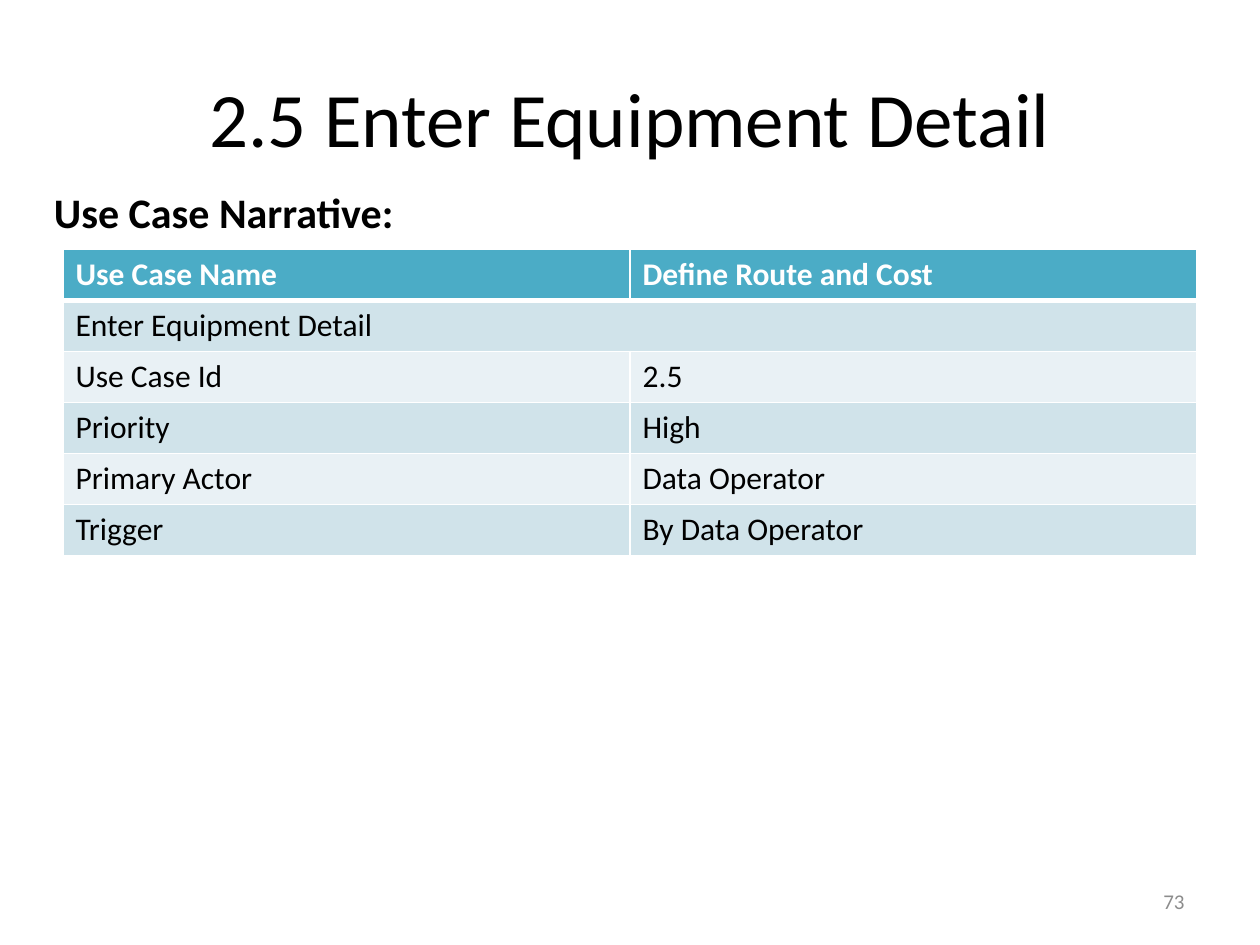
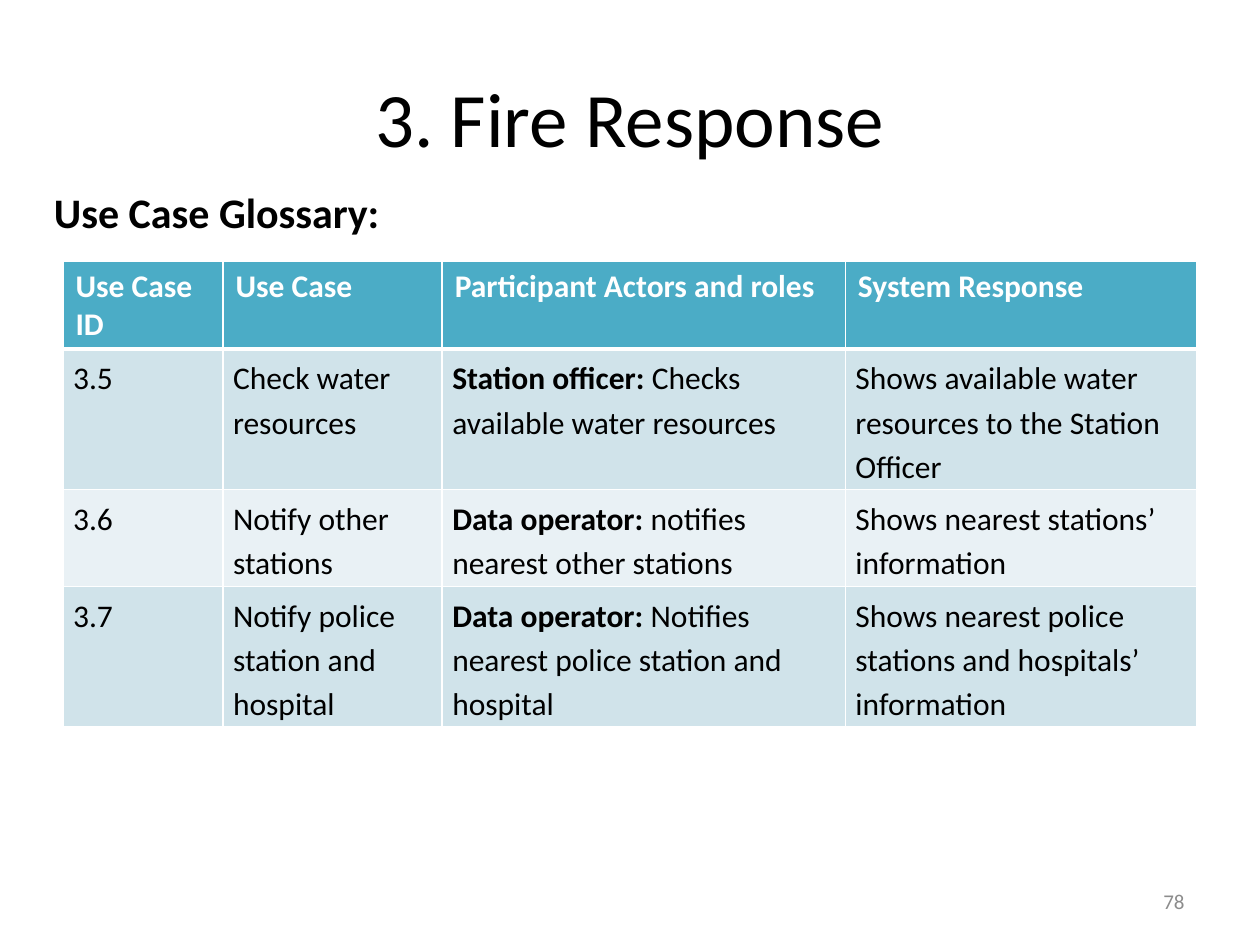
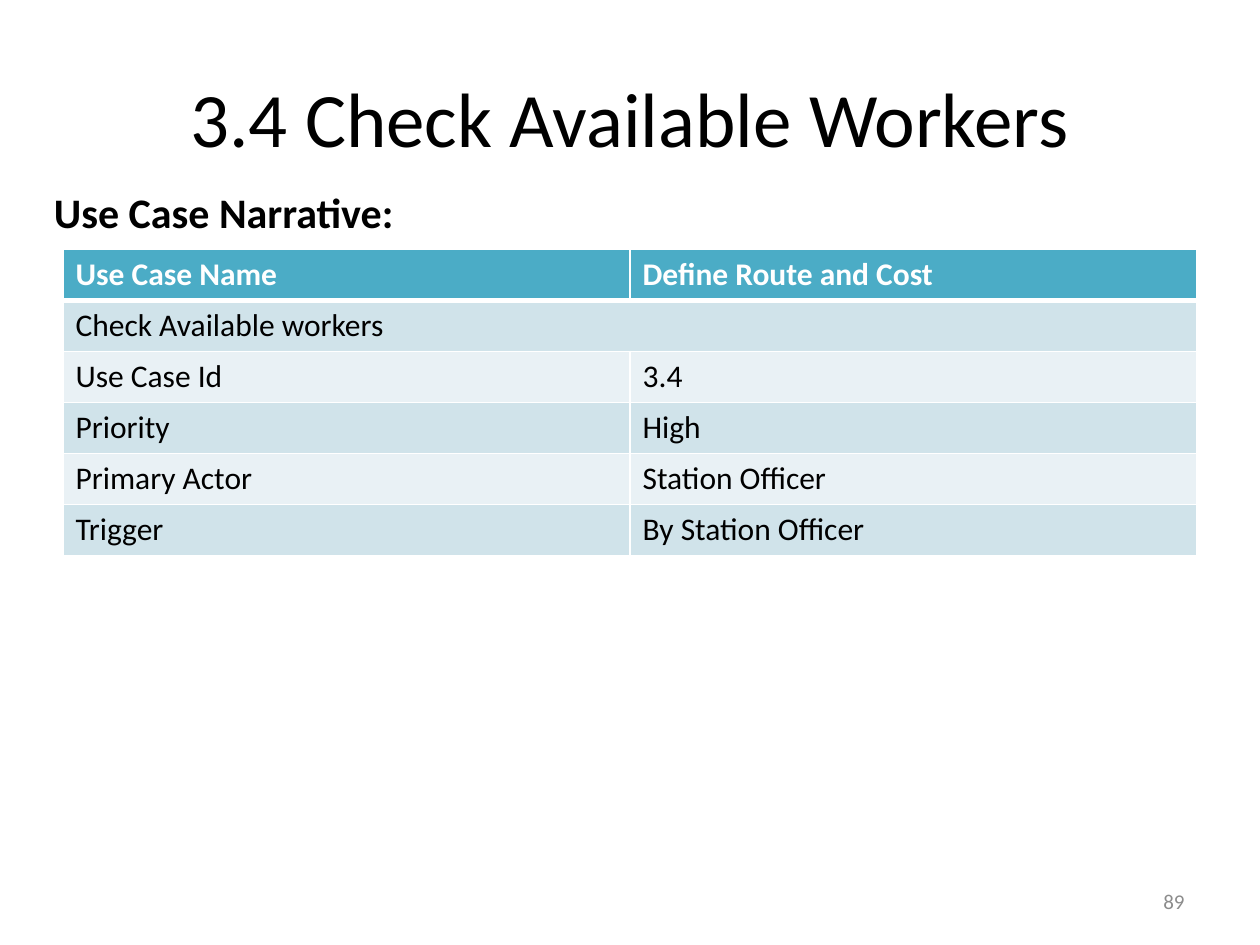
from lxml.etree import SubElement
from pptx import Presentation
from pptx.dml.color import RGBColor
from pptx.enum.text import MSO_ANCHOR, MSO_AUTO_SIZE, PP_ALIGN
from pptx.oxml.ns import qn
from pptx.util import Inches, Pt

FONT = "Calibri"
BLACK, WHITE, GREY = "000000", "FFFFFF", "8C8C8C"
HEADER, BANDS = "4BACC6", ("D0E3EA", "E9F1F5")
MARGIN, CONTENT_W, ROW_H = 0.5, 9, 0.405
TITLE = dict(size=Pt(44), bold=False)
HEADING = dict(size=Pt(24), bold=True)
NUMBER = dict(size=Pt(12), bold=False)
HEAD_CELL = dict(size=Pt(18), bold=True)
BODY_CELL = dict(size=Pt(18), bold=False)
TIGHT = dict(margin_left=Inches(0.08), margin_right=Inches(0.08),
             margin_top=Inches(0.04), margin_bottom=Inches(0.04))


def rgb(value):
    return RGBColor.from_string(value)


def apply(target, values):
    for name, value in values.items():
        setattr(target, name, value)


def add_run(p, text, font, color):
    r = p.add_run()
    r.text = text
    apply(r.font, dict(font, name=FONT))
    r.font.color.rgb = rgb(color)


def place(shape, *box):
    apply(shape, dict(zip(("left", "top", "width", "height"), map(Inches, box))))


def add_title(s, text):
    title = s.shapes.title
    place(title, MARGIN, 0.3, CONTENT_W, 1.25)
    title.text_frame.vertical_anchor = MSO_ANCHOR.MIDDLE
    p = title.text_frame.paragraphs[0]
    p.alignment = PP_ALIGN.CENTER
    add_run(p, text, TITLE, BLACK)


def add_text(s, box, text, font, color, align=PP_ALIGN.LEFT, **frame):
    tf = s.shapes.add_textbox(*map(Inches, box)).text_frame
    apply(tf, dict(frame, word_wrap=True))
    p = tf.paragraphs[0]
    p.alignment = align
    add_run(p, text, font, color)


def set_borders(cell, top, bottom):
    """White cell borders; must precede the cell's fill in the XML."""
    tcPr = cell._tc.get_or_add_tcPr()
    for side, width in (("L", 1), ("R", 1), ("T", top), ("B", bottom)):
        ln = SubElement(tcPr, qn(f"a:ln{side}"), w=str(Pt(width)))
        fill = SubElement(ln, qn("a:solidFill"))
        SubElement(fill, qn("a:srgbClr"), val=WHITE)


def fill_cell(cell, content, row, body_format, line_spacing):
    """Write text, or a (bold role, action) pair, in the style of its row."""
    is_head = row == 0
    set_borders(cell, 3 if row == 1 else 1, 3 if is_head else 1)
    cell.fill.solid()
    cell.fill.fore_color.rgb = rgb(HEADER if is_head else BANDS[(row - 1) % 2])
    p = cell.text_frame.paragraphs[0]
    if is_head:
        add_run(p, content, HEAD_CELL, WHITE)
        return
    apply(cell, body_format)
    p.line_spacing = line_spacing
    *role, text = content if isinstance(content, tuple) else (content,)
    for name in role:
        add_run(p, f"{name} ", dict(BODY_CELL, bold=True), BLACK)
    add_run(p, text, BODY_CELL, BLACK)


def add_grid(s, top, widths, rows, body_format=None, line_spacing=None):
    """Banded table; a row with a single entry spans all columns."""
    table = s.shapes.add_table(len(rows), len(widths), Inches(MARGIN), Inches(top),
                               Inches(CONTENT_W), Inches(ROW_H * len(rows))).table
    for column, width in zip(table.columns, widths):
        column.width = Inches(width)
    for i, row in enumerate(rows):
        if len(row) == 1:
            table.cell(i, 0).merge(table.cell(i, len(widths) - 1))
        for j, content in enumerate(row):
            fill_cell(table.cell(i, j), content, i, body_format or {}, line_spacing)


def add_page(prs, title, heading, number):
    s = prs.slides.add_slide(prs.slide_layouts[5])
    add_title(s, title)
    add_text(s, (0.33, 1.43, 5.25, 0.5), heading, HEADING, BLACK,
             auto_size=MSO_AUTO_SIZE.SHAPE_TO_FIT_TEXT)
    add_text(s, (7.17, 6.95, 2.33, 0.4), number, NUMBER, GREY, PP_ALIGN.RIGHT,
             vertical_anchor=MSO_ANCHOR.MIDDLE)
    return s


def add_narrative(prs, number, case_id, title, case_name, actor):
    s = add_page(prs, f"{case_id} {title}", "Use Case Narrative:", number)
    add_grid(s, 1.98, [CONTENT_W / 2] * 2, [
        ["Use Case Name", "Define Route and Cost"],
        [case_name],
        ["Use Case Id", case_id],
        ["Priority", "High"],
        ["Primary Actor", actor],
        ["Trigger", f"By {actor}"],
    ])


def add_glossary(prs, number, title, cases):
    s = add_page(prs, title, "Use Case Glossary:", number)
    head = ["Use Case ID", "Use Case", "Participant Actors and roles", "System Response"]
    add_grid(s, 2.07, [1.27, 1.74, 3.2, 2.79], [head, *cases], TIGHT, 1.15)


def main():
    prs = Presentation()
    prs.slide_width, prs.slide_height = Inches(10), Inches(7.5)
    add_narrative(prs, "73", "2.5", "Enter Equipment Detail",
                  "Enter Equipment Detail", "Data Operator")
    add_glossary(prs, "78", "3. Fire Response", [
        ["3.5", "Check water resources",
         ("Station officer:", "Checks available water resources"),
         "Shows available water resources to the Station Officer"],
        ["3.6", "Notify other stations",
         ("Data operator:", "notifies nearest other stations"),
         "Shows nearest stations’ information"],
        ["3.7", "Notify police station and hospital",
         ("Data operator:", "Notifies nearest police station and hospital"),
         "Shows nearest police stations and hospitals’ information"],
    ])
    add_narrative(prs, "89", "3.4", "Check Available Workers",
                  "Check Available workers", "Station Officer")
    prs.save("out.pptx")


if __name__ == "__main__":
    main()
